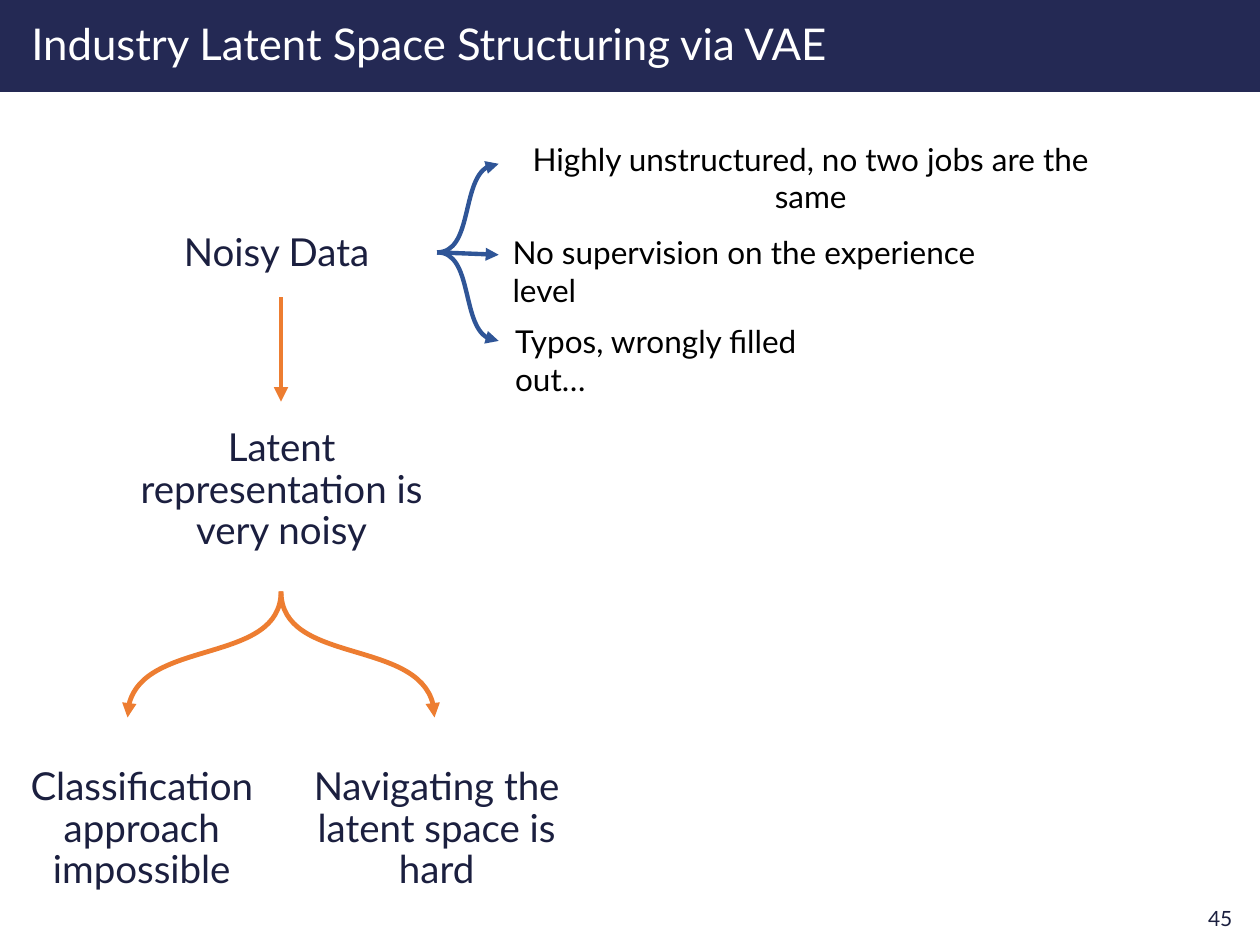
from lxml.etree import SubElement
from pptx import Presentation
from pptx.dml.color import RGBColor
from pptx.enum.shapes import MSO_CONNECTOR, MSO_SHAPE
from pptx.enum.text import MSO_ANCHOR as Anchor, PP_ALIGN as Align
from pptx.oxml.ns import qn
from pptx.util import Pt

NAVY = RGBColor(0x24, 0x29, 0x54)
INK = RGBColor(0x1B, 0x1F, 0x3F)
BLACK = RGBColor(0, 0, 0)
WHITE = RGBColor(255, 255, 255)
BLUE = RGBColor(0x2F, 0x55, 0x97)
ORANGE = RGBColor(0xED, 0x7D, 0x31)


def add_text(page, box, text, size, color, align=Align.LEFT, anchor=Anchor.TOP, spacing=1.0):
    frame = page.shapes.add_textbox(*map(Pt, box)).text_frame
    frame.word_wrap = True
    frame.vertical_anchor = anchor
    frame.text = text
    para = frame.paragraphs[0]
    para.alignment = align
    para.line_spacing = spacing
    font = para.runs[0].font
    font.name, font.size, font.color.rgb = "Lato", Pt(size), color


def add_step(page, box, text):
    add_text(page, box, text, 22, INK, Align.CENTER, Anchor.MIDDLE, 0.9)


def style_arrow(arrow, color, width):
    arrow.line.color.rgb = color
    arrow.line.width = Pt(width)
    properties = arrow._element.spPr
    SubElement(properties.find(qn("a:ln")), qn("a:tailEnd"), type="triangle")
    if properties.find(qn("a:effectLst")) is None:
        SubElement(properties, qn("a:effectLst"))


def add_straight_arrow(page, start, end, color, width):
    arrow = page.shapes.add_connector(MSO_CONNECTOR.STRAIGHT, *map(Pt, start + end))
    style_arrow(arrow, color, width)


def add_curved_arrow(page, start, end, color, width, vertical=False):
    """Draw an S-curve that leaves start and reaches end along one axis."""
    (x1, y1), (x2, y2) = start, end
    if vertical:
        controls = [(x1, y1 + 0.58 * (y2 - y1)), (x2, y1 + 0.35 * (y2 - y1))]
    else:
        controls = [(x1 + 0.58 * (x2 - x1), y1), (x1 + 0.35 * (x2 - x1), y2)]
    builder = page.shapes.build_freeform(Pt(x1), Pt(y1))
    builder.add_line_segments([(Pt(x2), Pt(y2))], close=False)
    arrow = builder.convert_to_shape()
    arrow.fill.background()
    arrow.shadow.inherit = False

    # The freeform builder knows only straight segments: make this one a Bezier.
    segment = next(arrow._element.iter(qn("a:lnTo")))
    segment.tag = qn("a:cubicBezTo")
    for index, (x, y) in enumerate(controls):
        point = SubElement(segment, qn("a:pt"), x=str(Pt(x) - arrow.left), y=str(Pt(y) - arrow.top))
        segment.insert(index, point)
    style_arrow(arrow, color, width)


def add_header(page, box, title):
    left, top, width, height = box
    band = page.shapes.add_shape(MSO_SHAPE.RECTANGLE, *map(Pt, box))
    band.shadow.inherit = False
    band.fill.solid()
    band.fill.fore_color.rgb = NAVY
    band.line.fill.background()
    add_text(page, (left + 10.8, top, width - 121, height + 0.7), title, 25, WHITE,
             anchor=Anchor.MIDDLE, spacing=0.9)


def add_causes(page, box):
    """Fan blue arrows out to the three reasons for the noise."""
    left, top, width, height = box
    start = (left, top + height / 2)
    tip = left + 35.2
    for y in (top, top + height):
        add_curved_arrow(page, start, (tip, y), BLUE, 2.5)
    add_straight_arrow(page, start, (tip, start[1] + 1.4), BLUE, 2.5)

    reasons = [
        ("Highly unstructured, no two jobs are the same", 34.6, -17.3, width - 34.6, Align.CENTER),
        ("No supervision on the experience level", 36, 36, 301, Align.LEFT),
        ("Typos, wrongly filled out…", 37.5, 87.1, 208.8, Align.LEFT),
    ]
    for text, x, y, text_width, align in reasons:
        add_text(page, (left + x, top + y, text_width, 28.8), text, 18, BLACK, align)


def add_consequences(page, box):
    """Stack the noise steps and split the last one into two outcomes."""
    left, top, width, height = box
    center = left + 160.6
    outcome_width, outcome_height = 162, 101.5
    outcome_top = top + height - outcome_height
    add_step(page, (left + 92.9, top, 136, 51), "Noisy Data ")
    add_straight_arrow(page, (center, top + 50.5), (center, top + 110), ORANGE, 2.75)
    add_step(page, (left + 72, top + 110.2, 177.8, 101.5), "Latent representation is very noisy")
    outcomes = [
        (left, -87.7, "Classification approach impossible"),
        (left + width - outcome_width, 87.7, "Navigating the latent space is hard"),
    ]
    for x, reach, text in outcomes:
        add_curved_arrow(page, (center, top + 218.5), (center + reach, top + 290.5),
                         ORANGE, 2.75, vertical=True)
        add_step(page, (x, outcome_top, outcome_width, outcome_height), text)


def main():
    deck = Presentation()
    deck.slide_width, deck.slide_height = Pt(720), Pt(540)
    page = deck.slides.add_slide(deck.slide_layouts[6])
    add_header(page, (0, 0, 720, 52.6), "Industry Latent Space Structuring via VAE")
    add_consequences(page, (0, 119.5, 330.5, 405.4))
    add_causes(page, (249.8, 93.6, 392.4, 101.2))
    add_text(page, (671, 509.8, 40.3, 30.2), "45", 12, INK, Align.RIGHT, Anchor.MIDDLE)
    deck.save("out.pptx")


if __name__ == "__main__":
    main()
